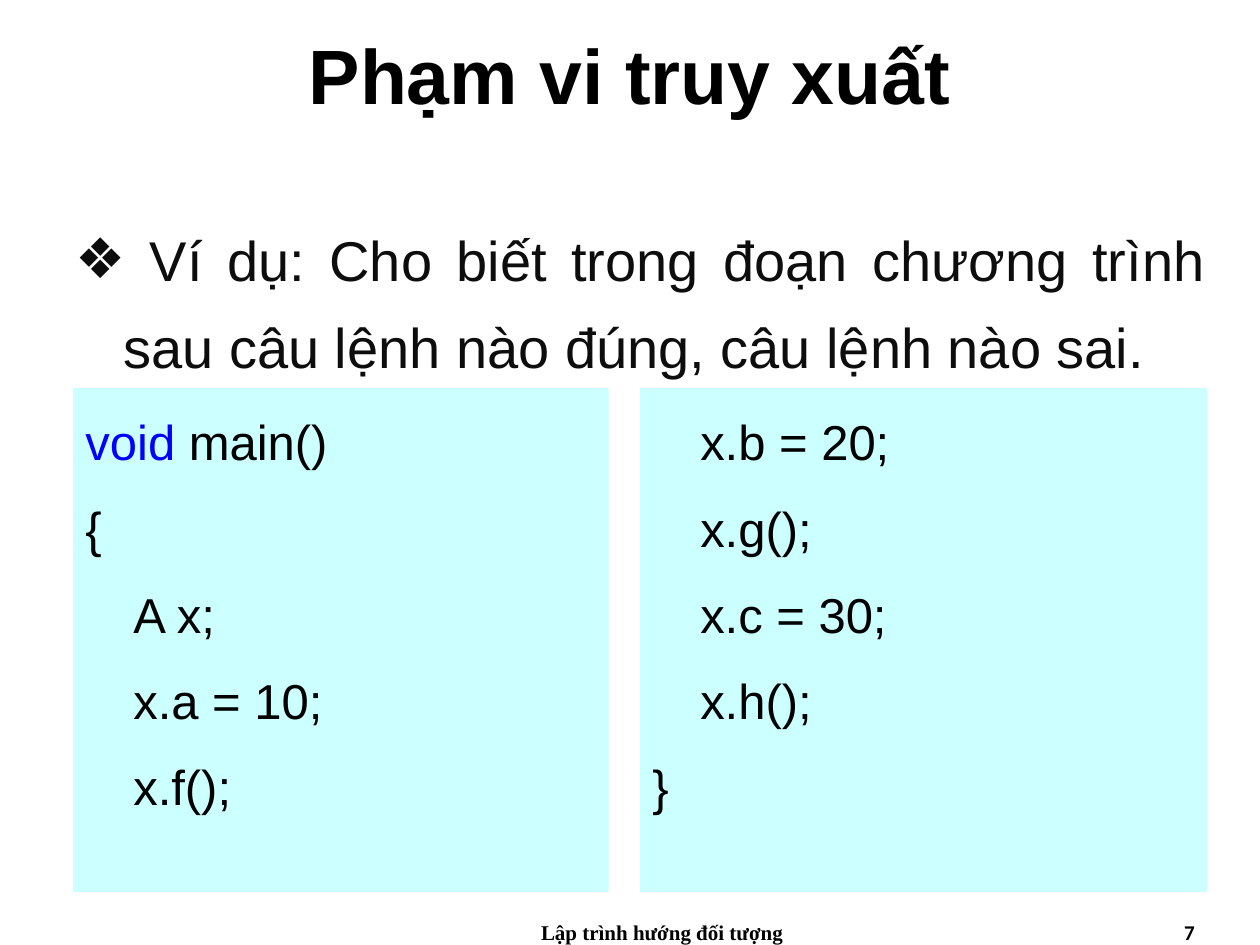
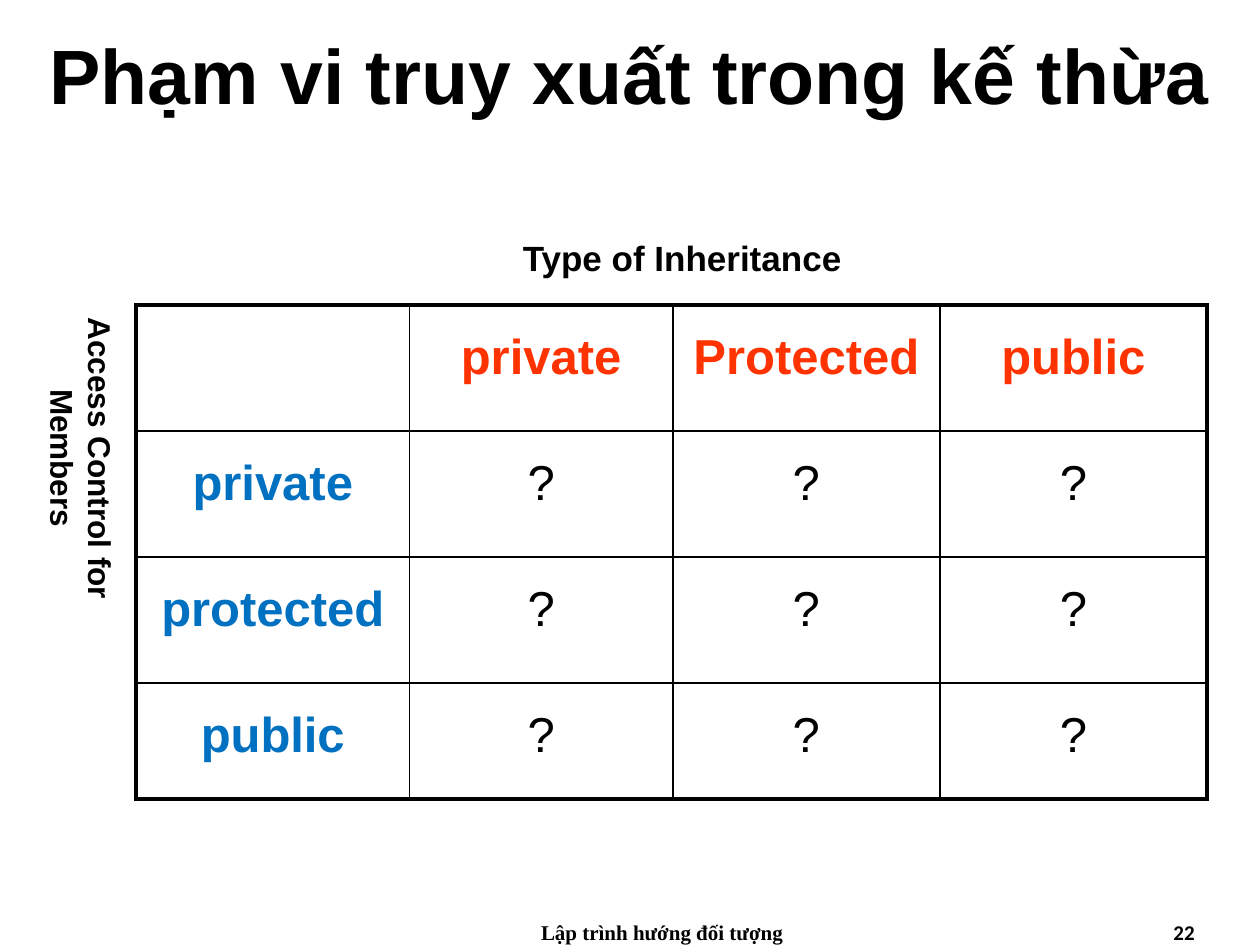
import dataclasses

import pptx
import pptx.dml.color
import pptx.enum.shapes
import pptx.enum.text
import pptx.oxml.ns
import pptx.util
from lxml import etree

Inches = pptx.util.Inches
Pt = pptx.util.Pt
ALIGN = pptx.enum.text.PP_ALIGN
ANCHOR = pptx.enum.text.MSO_ANCHOR
qn = pptx.oxml.ns.qn


@dataclasses.dataclass(frozen=True)
class Theme:
    black: str = "000000"
    body_ink: str = "0D0D0D"
    keyword: str = "0000FF"
    code_panel: str = "CCFFFF"
    column_head: str = "FF3300"
    row_head: str = "0070C0"
    sans: str = "Arial"
    footer_font: str = "Times New Roman"
    number_font: str = "Calibri"
    title_size: float = 44
    body_size: float = 32
    code_size: float = 28
    axis_size: float = 20
    side_size: float = 18
    footer_size: float = 12
    outer_line: float = 2.25
    inner_line: float = 1
    line_spacing: float = 1.3
    hanging: float = 0.38


THEME = Theme()
FOOTER = "Lập trình hướng đối tượng"


def rgb(code):
    return pptx.dml.color.RGBColor.from_string(code)


def style_run(run, size, color=THEME.black, bold=False, font=THEME.sans):
    run.font.size = Pt(size)
    run.font.name = font
    run.font.bold = bold
    run.font.color.rgb = rgb(color)


def add_label(slide, box, text, size, align=ALIGN.CENTER, **run_style):
    """Add a wrapped one-paragraph text box and return its text frame."""
    frame = slide.shapes.add_textbox(*map(Inches, box)).text_frame
    frame.word_wrap = True
    frame.text = text
    paragraph = frame.paragraphs[0]
    paragraph.alignment = align
    style_run(paragraph.runs[0], size, **run_style)
    return frame


def set_hanging(paragraph):
    properties = paragraph._p.get_or_add_pPr()
    properties.set("marL", str(Inches(THEME.hanging)))
    properties.set("indent", str(-Inches(THEME.hanging)))
    paragraph.line_spacing = THEME.line_spacing
    return properties


def add_base_slide(deck, title, number):
    """Add a slide with the shared title, footer and page number."""
    slide = deck.slides.add_slide(deck.slide_layouts[6])
    heading = add_label(slide, (0, 0, 10, 1.17), title, THEME.title_size, bold=True)
    heading.vertical_anchor = ANCHOR.MIDDLE
    add_label(slide, (3.67, 7.25, 3.17, 0.25), FOOTER, THEME.footer_size,
              bold=True, font=THEME.footer_font)
    add_label(slide, (7.25, 7.25, 2.33, 0.25), str(number), THEME.footer_size,
              ALIGN.RIGHT, bold=True, font=THEME.number_font)
    return slide


def add_question(slide, box, text):
    frame = add_label(slide, box, text, THEME.body_size, ALIGN.JUSTIFY,
                      color=THEME.body_ink)
    paragraph = frame.paragraphs[0]
    properties = set_hanging(paragraph)
    paragraph.space_after = Pt(3)
    etree.SubElement(properties, qn("a:buFont"), typeface=THEME.sans)
    etree.SubElement(properties, qn("a:buChar"), char="❖")


def add_code_panel(slide, box, lines, keyword=""):
    """Fill a panel with code; keyword is coloured where it opens a line."""
    panel = slide.shapes.add_shape(pptx.enum.shapes.MSO_SHAPE.RECTANGLE,
                                   *map(Inches, box))
    panel.shadow.inherit = False
    panel.fill.solid()
    panel.fill.fore_color.rgb = rgb(THEME.code_panel)
    panel.line.fill.background()
    frame = panel.text_frame
    frame.word_wrap = True
    frame.vertical_anchor = ANCHOR.TOP
    frame.text = "\n".join(lines)
    for index, paragraph in enumerate(frame.paragraphs):
        paragraph.alignment = ALIGN.LEFT
        set_hanging(paragraph)
        if index:
            paragraph.space_before = Pt(0.2 * THEME.code_size)
        statement = paragraph.runs[0]
        if keyword and statement.text.startswith(keyword):
            rest = statement.text[len(keyword):]
            statement.text = keyword
            style_run(statement, THEME.code_size, THEME.keyword)
            statement = paragraph.add_run()
            statement.text = rest
        style_run(statement, THEME.code_size)


def set_borders(cell, outer_sides):
    """Rule all four sides of a cell, heavier on the outer ones."""
    properties = cell._tc.get_or_add_tcPr()
    for position, side in enumerate("LRTB"):
        weight = THEME.outer_line if side in outer_sides else THEME.inner_line
        line = etree.Element(qn(f"a:ln{side}"), w=str(Pt(weight)))
        fill = etree.SubElement(line, qn("a:solidFill"))
        etree.SubElement(fill, qn("a:srgbClr"), val=THEME.black)
        properties.insert(position, line)


def add_access_table(slide, box, column_widths, row_heights, rows):
    last_row, last_column = len(rows) - 1, len(rows[0]) - 1
    table = slide.shapes.add_table(len(rows), len(rows[0]), *map(Inches, box)).table
    table.first_row = table.horz_banding = False
    for column, width in zip(table.columns, column_widths):
        column.width = Inches(width)
    for row, height in zip(table.rows, row_heights):
        row.height = Inches(height)
    for r, row in enumerate(rows):
        for c, text in enumerate(row):
            cell = table.cell(r, c)
            cell.fill.background()
            edges = {"L": c == 0, "R": c == last_column,
                     "T": r == 0, "B": r == last_row}
            set_borders(cell, [side for side, outer in edges.items() if outer])
            if not text:
                continue
            cell.margin_top = Inches(0.2)
            cell.text = text
            paragraph = cell.text_frame.paragraphs[0]
            paragraph.alignment = ALIGN.CENTER
            color = (THEME.column_head if r == 0
                     else THEME.row_head if c == 0 else THEME.black)
            style_run(paragraph.runs[0], THEME.code_size, color, bold=r == 0 or c == 0)


def build_example_slide(deck):
    slide = add_base_slide(deck, "Phạm vi truy xuất", 7)
    add_code_panel(slide, (0.58, 3.08, 4.25, 4),
                   ["void main()", "{", "\tA x;", "\tx.a = 10;", "\tx.f();"],
                   keyword="void")
    add_question(slide, (0.5, 1.58, 9.17, 5.39),
                 " Ví dụ: Cho biết trong đoạn chương trình sau câu lệnh nào đúng, "
                 "câu lệnh nào sai.")
    add_code_panel(slide, (5.08, 3.08, 4.5, 4),
                   ["\tx.b = 20;", "\tx.g();", "\tx.c = 30;", "\tx.h();", "}"])


def build_inheritance_slide(deck):
    slide = add_base_slide(deck, "Phạm vi truy xuất trong kế thừa", 22)
    members = ["private", "protected", "public"]
    rows = [["", "private", "Protected", "public"]]
    rows += [[member] + ["?"] * 3 for member in members]
    add_access_table(slide, (1.08, 2.42, 8.5, 3.92), (2.17, 2.09, 2.12, 2.12),
                     (1, 1, 1, 0.92), rows)
    add_label(slide, (3.75, 1.83, 3.33, 0.44), "Type of Inheritance",
              THEME.axis_size, bold=True)
    side = add_label(slide, (0.5, 2.42, 0.5, 3.6), "Access Control for Members",
                     THEME.side_size, bold=True)
    side._txBody.bodyPr.set("vert", "eaVert")


def main():
    deck = pptx.Presentation()
    deck.slide_width, deck.slide_height = Inches(10), Inches(7.5)
    build_example_slide(deck)
    build_inheritance_slide(deck)
    deck.save("out.pptx")


if __name__ == "__main__":
    main()
